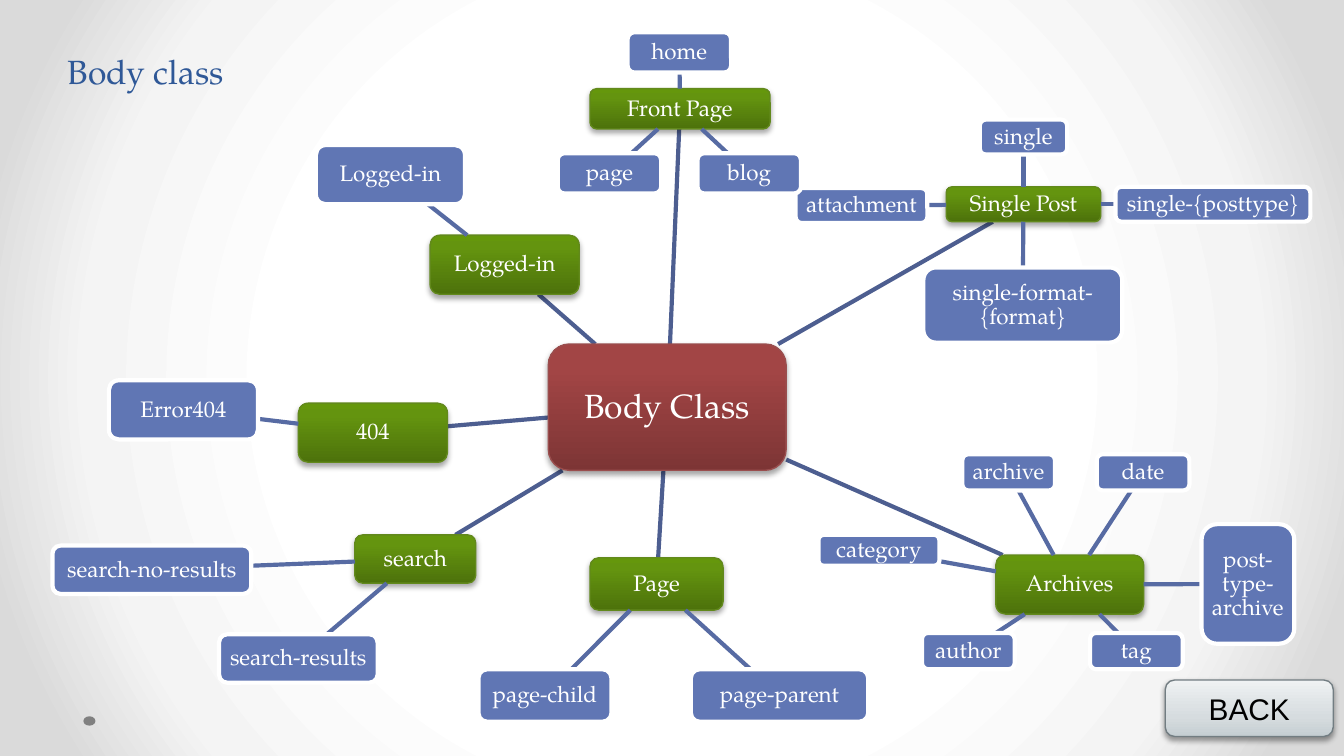
import pptx
import pptx.util
import pptx.dml.color
import pptx.enum.shapes
import pptx.enum.text
import pptx.oxml
import pptx.oxml.ns

MSO_SHAPE = pptx.enum.shapes.MSO_SHAPE
PP_ALIGN = pptx.enum.text.PP_ALIGN
ANCHOR = pptx.enum.text.MSO_ANCHOR
SERIF = "TeX Gyre Pagella"

prs = pptx.Presentation()
prs.slide_width = pptx.util.Inches(10)
prs.slide_height = prs.slide_width * 9 // 16
UNIT = prs.slide_width / 100  # square grid, 100 columns wide

# Box styles: fill is one colour or gradient stops from bottom to top
CORE = dict(fill=[(0, "7D3535"), (80, "A24545"), (100, "A44343")],
            line="9A4E4E", width=0.75, shadow=35, size=18, pad=0.5)
HUB = dict(fill=[(0, "4D720B"), (80, "64940F"), (100, "65970C")],
           line="62891C", width=0.75, shadow=35)
LEAF = dict(fill="6076B4", line="FFFFFF", width=2.25)
BUTTON = dict(fill=[(0, "C5CED2"), (35, "D6DCDF"), (100, "EFF2F3")],
              line="727D82", width=0.75, shadow=38, size=16,
              font="Arial", color="000000", spacing=1.0)


def rgb(value):
    return pptx.dml.color.RGBColor.from_string(value)


def grid(*cells):
    return [round(c * UNIT) for c in cells]


def xml(tag, body):
    ns = pptx.oxml.ns.nsdecls("a")
    return pptx.oxml.parse_xml(f"<a:{tag} {ns}>{body}</a:{tag}>")


def set_gradient(grad, stops, tag, attrs, inner=""):
    for child in list(grad):
        grad.remove(child)
    grad.append(xml("gsLst", "".join(
        f'<a:gs pos="{pos * 1000}"><a:srgbClr val="{c}"/></a:gs>' for pos, c in stops)))
    shade = xml(tag, inner)
    for name, value in attrs.items():
        shade.set(name, value)
    grad.append(shade)


def add_shadow(sp, alpha):
    effects = sp._element.spPr.find(pptx.oxml.ns.qn("a:effectLst"))
    shadow = xml("outerShdw", f'<a:srgbClr val="000000"><a:alpha val="{alpha * 1000}"/></a:srgbClr>')
    for name, value in dict(blurRad="39370", dist="22860", dir="5400000", rotWithShape="0").items():
        shadow.set(name, value)
    effects.append(shadow)


def set_text(sp, text, size=12, font=SERIF, color="FFFFFF", spacing=0.9,
             pad=0.3, anchor=ANCHOR.MIDDLE):
    tf = sp.text_frame
    inset = grid(pad)[0]
    frame = dict(word_wrap=True, vertical_anchor=anchor, margin_left=inset,
                 margin_right=inset, margin_top=inset, margin_bottom=inset)
    for name, value in frame.items():
        setattr(tf, name, value)
    p = tf.paragraphs[0]
    p.alignment, p.line_spacing = PP_ALIGN.CENTER, spacing
    r = p.add_run()
    r.text = text
    for name, value in dict(name=font, size=pptx.util.Pt(size)).items():
        setattr(r.font, name, value)
    r.font.color.rgb = rgb(color)


def add_box(s, box, text, fill, line, width, shadow=None, **text_style):
    sp = s.shapes.add_shape(MSO_SHAPE.ROUNDED_RECTANGLE, *grid(*box))
    if isinstance(fill, str):
        sp.fill.solid()
        sp.fill.fore_color.rgb = rgb(fill)
    else:
        sp.fill.gradient()
        set_gradient(sp._element.xpath(".//a:gradFill")[0], fill, "lin", {"ang": "16200000"})
    sp.line.color.rgb = rgb(line)
    sp.line.width = pptx.util.Pt(width)
    sp.shadow.inherit = False
    if shadow:
        add_shadow(sp, shadow)
    set_text(sp, text, **text_style)


def center(box):
    x, y, w, h = box
    return x + w / 2, y + h / 2


def edge(box, other):
    """Where the line between two centres leaves box."""
    (x, y), (tx, ty) = center(box), center(other)
    dx, dy = tx - x, ty - y
    t = min(size / 2 / abs(d) for size, d in ((box[2], dx), (box[3], dy)) if d)
    return x + dx * t, y + dy * t


def add_link(s, a, b, color):
    ln = s.shapes.add_connector(pptx.enum.shapes.MSO_CONNECTOR.STRAIGHT,
                                *grid(*edge(a, b), *edge(b, a)))
    ln.line.color.rgb = rgb(color)
    ln.line.width = pptx.util.Pt(2.25)
    ln._element.spPr.append(xml("effectLst", ""))


def add_branch(s, hub, name, leaves):
    """A hub with leaves, each offset from the hub's corner."""
    add_box(s, hub, name, **HUB)
    for text, dx, dy, w, h in leaves:
        leaf = (hub[0] + dx, hub[1] + dy, w, h)
        add_link(s, hub, leaf, "576BA3")
        add_box(s, leaf, text, **LEAF)


def add_mind_map(s, core, name, branches):
    for hub, _, _ in branches:
        add_link(s, core, hub, "4D5E90")
    add_box(s, core, name, **CORE)
    for branch in branches:
        add_branch(s, *branch)


def add_backdrop(s):
    s.background.fill.gradient()
    set_gradient(s._element.xpath(".//p:bgPr/a:gradFill")[0],
                 [(50, "FFFFFF"), (76, "F4F4F4"), (92, "DADADA")], "path", {"path": "circle"},
                 '<a:fillToRect l="50000" t="50000" r="50000" b="50000"/>')
    dot = s.shapes.add_shape(MSO_SHAPE.OVAL, *grid(6.2, 53.3, 0.9, 0.7))
    dot.fill.solid()
    dot.fill.fore_color.rgb = rgb("808080")
    dot.line.fill.background()
    dot.shadow.inherit = False


def add_title(s, box, text):
    sp = s.shapes.add_textbox(*grid(*box))
    set_text(sp, text, size=18, color="2F5897", spacing=pptx.util.Pt(58),
             pad=0.5, anchor=ANCHOR.BOTTOM)


# Hub box, hub name, leaves (text, offset, size)
BRANCHES = [
    ((32, 17.5, 11.1, 4.4), "Logged-in", [("Logged-in", -8.5, -6.7, 11.1, 4.4)]),
    ((22.2, 30, 11.1, 4.4), "404", [("Error404", -14.1, -1.7, 11.1, 4.4)]),
    ((26.4, 39.8, 9, 3.6), "search", [
        ("search-results", -10.1, 7.4, 11.8, 3.6),
        ("search-no-results", -22.5, 0.8, 14.8, 3.6)]),
    ((43.9, 41.5, 9.9, 3.9), "Page", [
        ("page-parent", 7.5, 8.3, 13.2, 3.9),
        ("page-child", -8.3, 8.3, 9.9, 3.9)]),
    ((74.1, 41.3, 11, 4.4), "Archives", [
        ("archive", -2.5, -7.5, 6.9, 2.7),
        ("date", 7.5, -7.5, 6.9, 2.7),
        ("post-type-archive", 15.3, -2.3, 6.9, 8.9),
        ("author", -5.5, 5.8, 6.9, 2.7),
        ("tag", 7, 5.8, 6.9, 2.7),
        ("category", -13.2, -1.5, 9, 2.3)]),
    ((70.4, 13.9, 11.5, 2.6), "Single Post", [
        ("single", 2.5, -5, 6.5, 2.6),
        ("single-{posttype}", 12.6, 0, 14.5, 2.6),
        ("single-format-{format}", -1.7, 6, 14.8, 5.6),
        ("attachment", -11.2, 0.1, 9.8, 2.6)]),
    ((43.9, 6.6, 13.4, 3), "Front Page", [
        ("home", 2.8, -4.2, 7.7, 3),
        ("blog", 8, 4.8, 7.7, 3),
        ("page", -2.4, 4.8, 7.7, 3)]),
]

s = prs.slides.add_slide(prs.slide_layouts[6])
add_backdrop(s)
add_mind_map(s, (40.8, 25.6, 17.7, 9.4), "Body Class", BRANCHES)
add_title(s, (2.5, 1.5, 16.7, 5.8), "Body class")
add_box(s, (86.7, 50.6, 12.5, 4.2), "BACK", **BUTTON)
prs.save("out.pptx")
